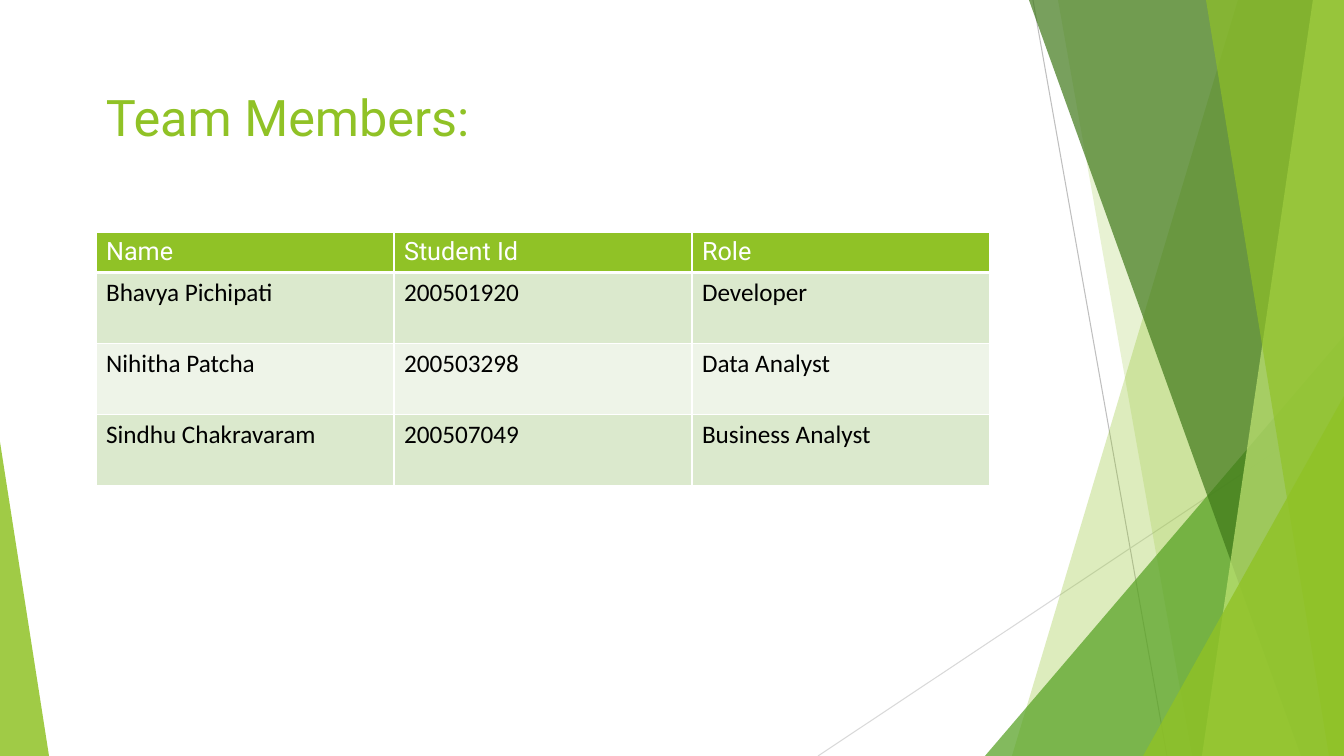
from lxml import etree
from pptx import Presentation
from pptx.dml.color import RGBColor
from pptx.enum.shapes import MSO_CONNECTOR, MSO_SHAPE
from pptx.enum.text import MSO_ANCHOR
from pptx.oxml.ns import qn
from pptx.util import Pt

STRAIGHT = MSO_CONNECTOR.STRAIGHT
TRIANGLE = MSO_SHAPE.ISOSCELES_TRIANGLE
TOP = MSO_ANCHOR.TOP

PX = 12192000 / 1344
WIDTH, HEIGHT = 1344, 756

LIME = RGBColor(0x90, 0xC2, 0x26)
GREEN = RGBColor(0x54, 0xA0, 0x21)
FOREST = RGBColor(0x3F, 0x78, 0x19)
PALE_LIME = RGBColor(0xC0, 0xE4, 0x74)
BAND_DARK = RGBColor(0xDB, 0xE9, 0xCD)
BAND_LIGHT = RGBColor(0xEE, 0xF4, 0xE8)
GREY = RGBColor(0xBF, 0xBF, 0xBF)
LIGHT_GREY = RGBColor(0xD9, 0xD9, 0xD9)
WHITE = RGBColor(0xFF, 0xFF, 0xFF)
BLACK = RGBColor(0x00, 0x00, 0x00)

TITLE = {"name": "Roboto", "size": Pt(36), "color": LIME}
HEADER = {"name": "Roboto", "size": Pt(18), "bold": False, "color": WHITE}
BODY = {"name": "Calibri", "size": Pt(18), "bold": False, "color": BLACK}

RAYS = [
    (1238, 1012, LIME, 30),
    (1058, 1192, LIME, 20),
    (1029, 1301, FOREST, 70),
    (1313, 1202, PALE_LIME, 70),
    (1206, 1329, LIME, 65),
]

MEMBERS = [
    ("Name", "Student Id", "Role"),
    ("Bhavya Pichipati", "200501920", "Developer"),
    ("Nihitha Patcha", "200503298", "Data Analyst"),
    ("Sindhu Chakravaram", "200507049", "Business Analyst"),
]


def emu(*lengths):
    return [round(length * PX) for length in lengths]


class SlideBuilder:
    def __init__(self, slide):
        self.shapes = slide.shapes

    def add_span(self, frame, text, style):
        span = frame.paragraphs[0].add_run()
        span.text = text
        for key, value in style.items():
            if key == "color":
                span.font.color.rgb = value
            else:
                setattr(span.font, key, value)

    def paint(self, shape, color, opacity):
        shape.shadow.inherit = False
        shape.line.fill.background()
        shape.fill.solid()
        shape.fill.fore_color.rgb = color
        tint = shape._element.spPr.find(".//" + qn("a:srgbClr"))
        etree.SubElement(tint, qn("a:alpha"), val=str(opacity * 1000))

    def line(self, start, end, color):
        line = self.shapes.add_connector(STRAIGHT, *emu(*start, *end))
        line.line.color.rgb = color
        line.line.width = Pt(0.75)
        etree.SubElement(line._element.spPr, qn("a:effectLst"))

    def ray(self, top_x, bottom_x, color, opacity):
        builder = self.shapes.build_freeform(top_x, 0, scale=PX)
        builder.add_line_segments([(WIDTH, 0), (WIDTH, HEIGHT), (bottom_x, HEIGHT)])
        self.paint(builder.convert_to_shape(), color, opacity)

    def corner(self, left, top, width, apex, color, opacity):
        shape = self.shapes.add_shape(TRIANGLE, *emu(left, top, width, HEIGHT - top))
        shape.adjustments[0] = apex
        self.paint(shape, color, opacity)

    def text(self, left, top, width, height, text, style):
        frame = self.shapes.add_textbox(*emu(left, top, width, height)).text_frame
        frame.word_wrap = True
        frame.vertical_anchor = TOP
        self.add_span(frame, text, style)

    def border(self, cell, widths):
        properties = cell._tc.get_or_add_tcPr()
        for index, (side, width) in enumerate(widths.items()):
            edge = etree.Element(qn("a:ln" + side), w=str(int(Pt(width))))
            fill = etree.SubElement(edge, qn("a:solidFill"))
            etree.SubElement(fill, qn("a:srgbClr"), val=str(WHITE))
            properties.insert(index, edge)

    def table(self, left, top, column_width, row_heights, rows):
        size = column_width * len(rows[0]), sum(row_heights)
        frame = self.shapes.add_table(len(rows), len(rows[0]), *emu(left, top, *size))
        table = frame.table
        for column in table.columns:
            column.width = emu(column_width)[0]
        for number, values in enumerate(rows):
            table.rows[number].height = emu(row_heights[number])[0]
            fill = (BAND_DARK if number % 2 else BAND_LIGHT) if number else LIME
            widths = {"L": 1, "R": 1, "T": 3 if number == 1 else 1, "B": 1 if number else 3}
            for index, value in enumerate(values):
                cell = table.cell(number, index)
                cell.fill.solid()
                cell.fill.fore_color.rgb = fill
                self.border(cell, widths)
                self.add_span(cell.text_frame, value, BODY if number else HEADER)


def main():
    deck = Presentation()
    deck.slide_width, deck.slide_height = emu(WIDTH, HEIGHT)
    page = SlideBuilder(deck.slides.add_slide(deck.slide_layouts[6]))

    page.line((1033, 0), (1167, HEIGHT), GREY)
    page.line((WIDTH, 406), (818, HEIGHT), LIGHT_GREY)
    for ray in RAYS[:2]:
        page.ray(*ray)
    page.corner(985, 336, 359, 1, GREEN, 72)
    for ray in RAYS[2:]:
        page.ray(*ray)
    page.corner(1143, 396, 201, 1, LIME, 80)
    page.corner(0, 442, 49, 0, LIME, 85)

    page.text(96, 81, 1109, 151, "Team Members:", TITLE)
    page.table(96, 232, 298, [39, 71, 71, 71], MEMBERS)
    deck.save("out.pptx")


if __name__ == "__main__":
    main()
